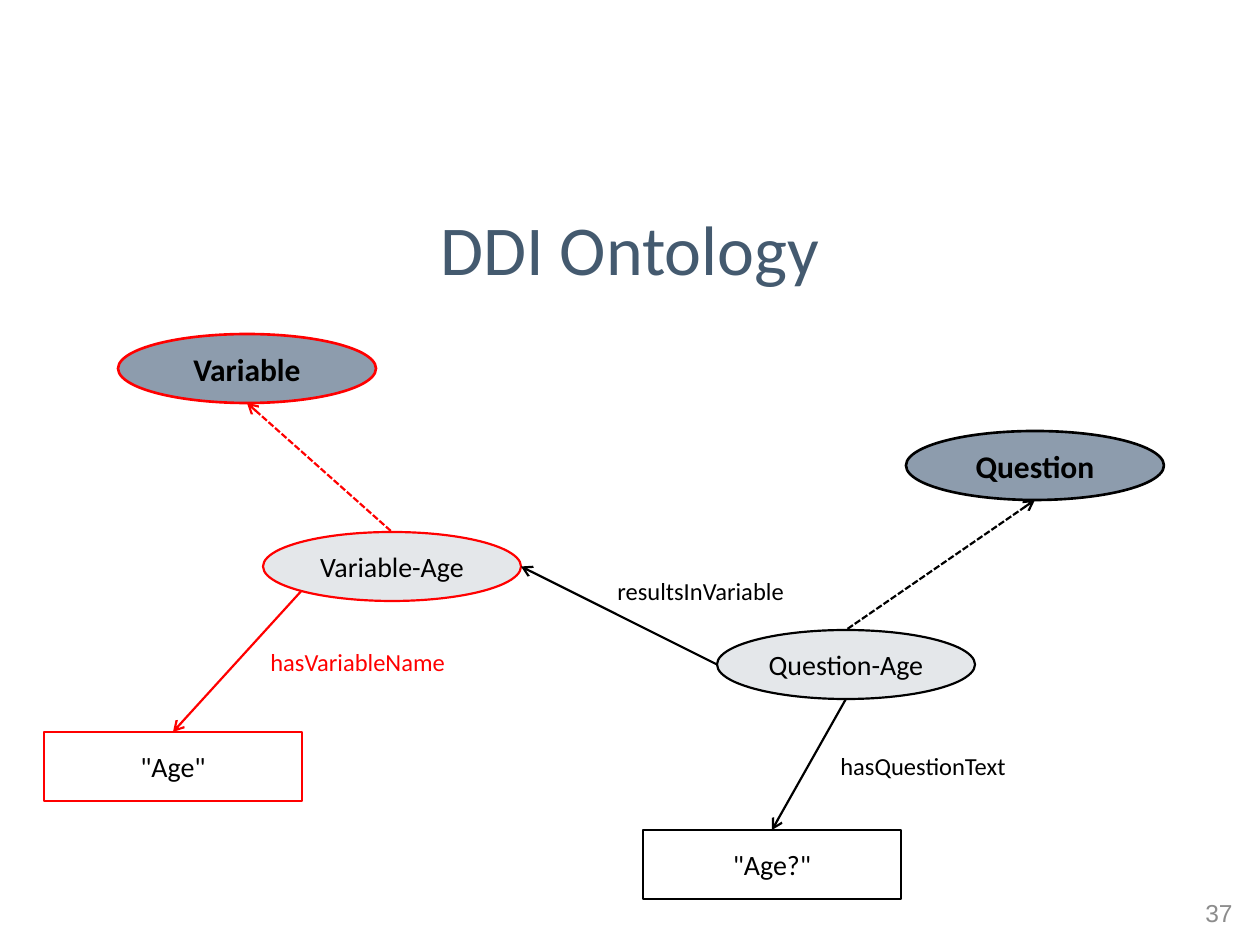
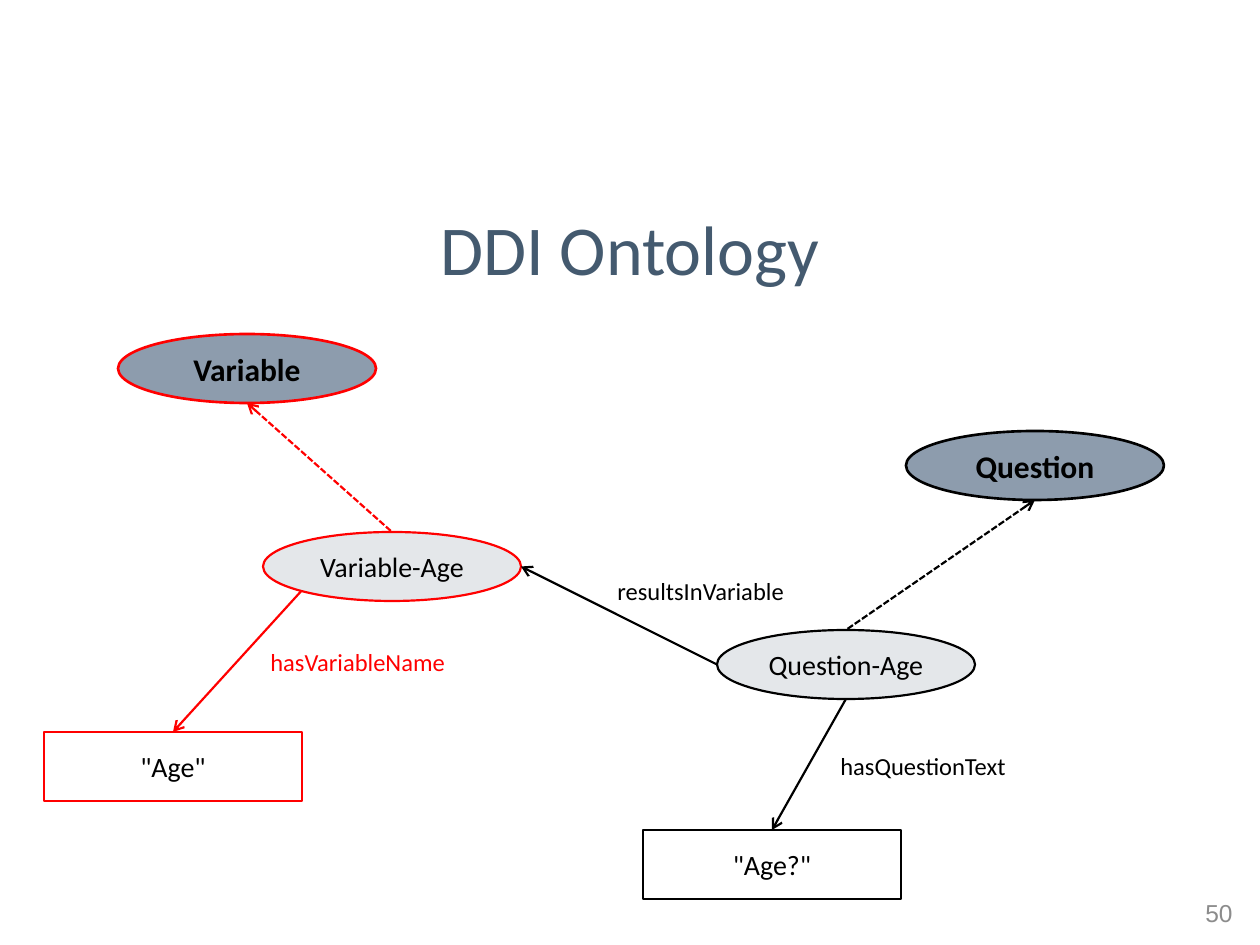
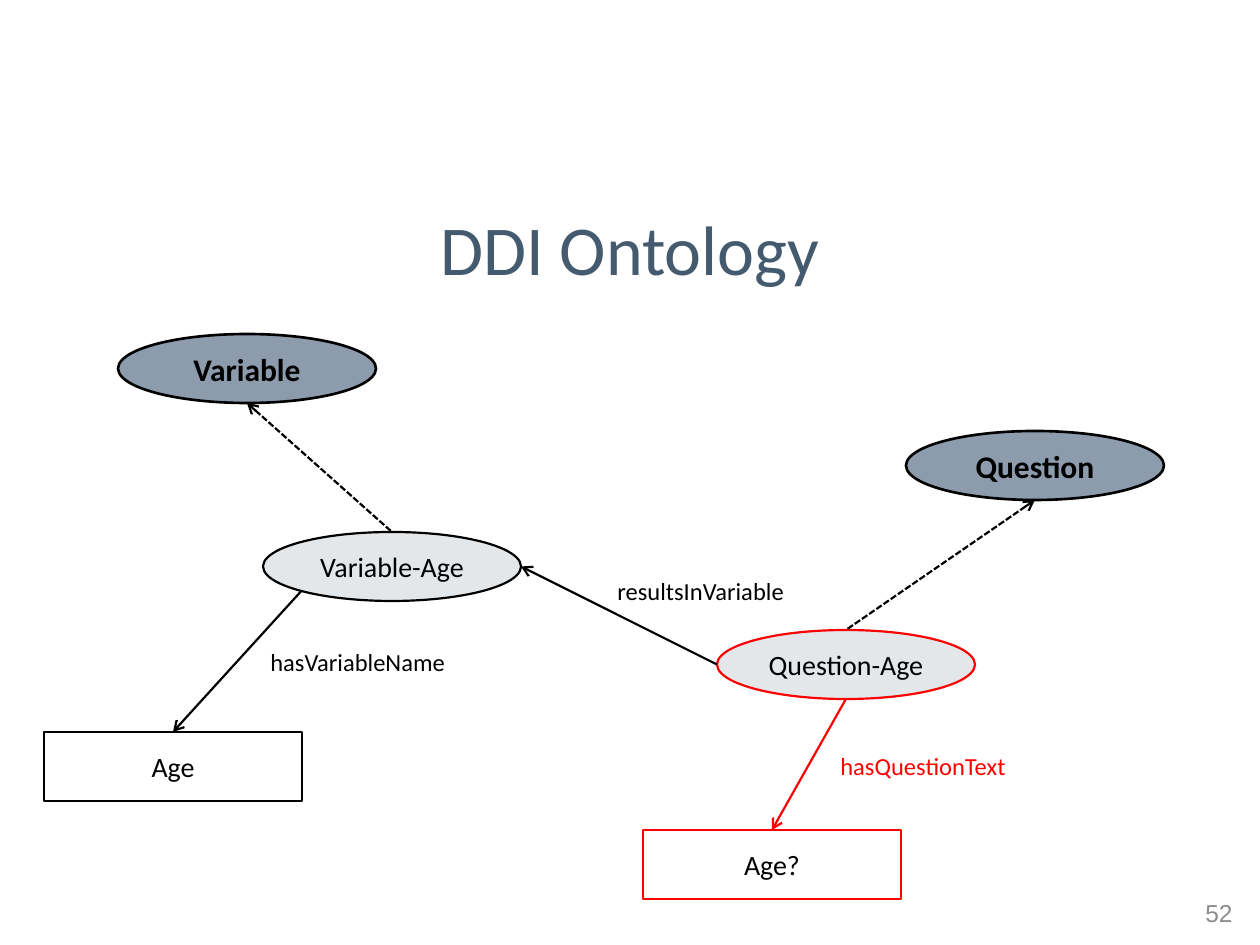
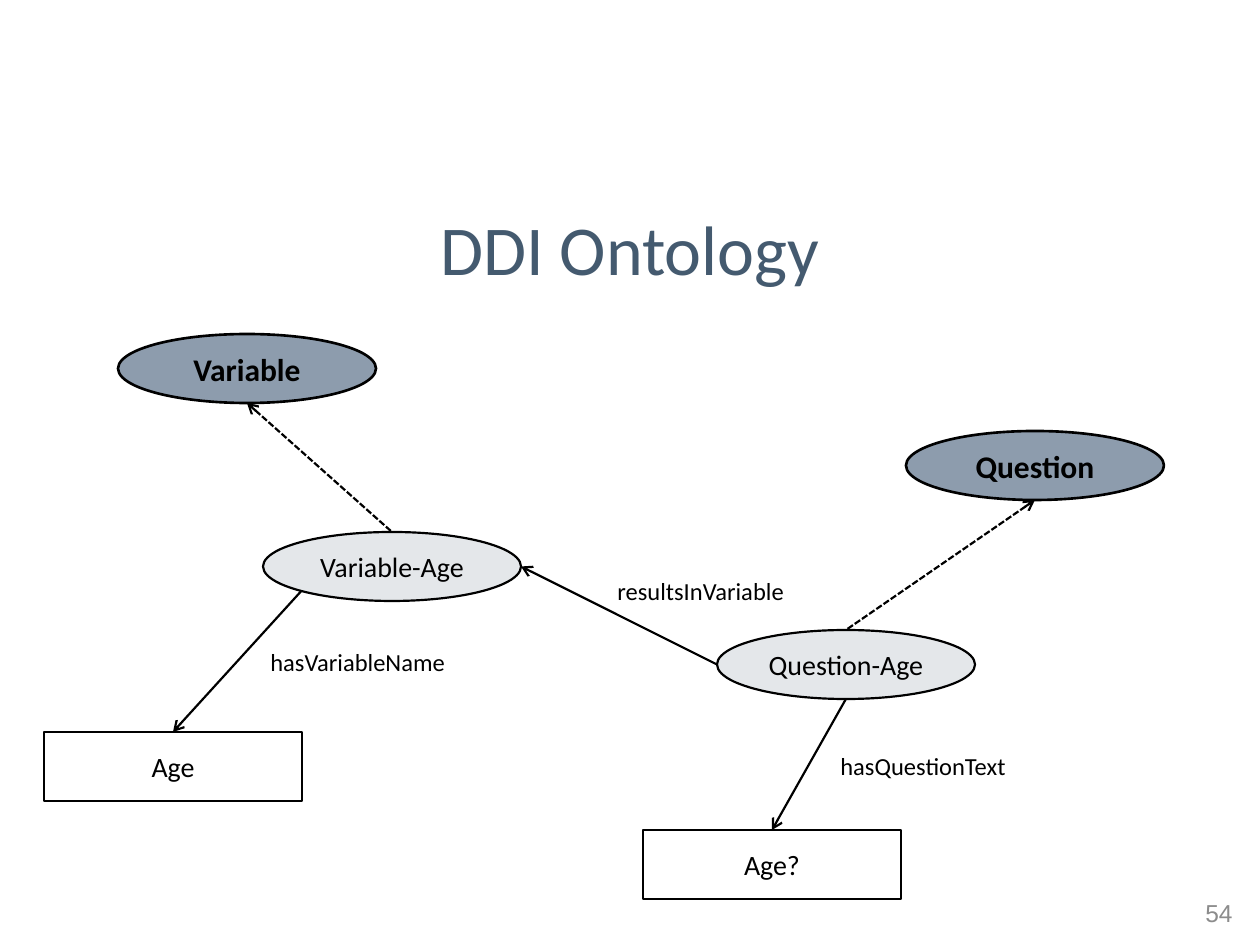
from pptx import Presentation
from pptx.dml.color import RGBColor
from pptx.enum.dml import MSO_LINE
from pptx.enum.shapes import MSO_CONNECTOR, MSO_SHAPE
from pptx.enum.text import MSO_ANCHOR, MSO_AUTO_SIZE, PP_ALIGN
from pptx.oxml.ns import qn
from pptx.util import Emu, Pt
from lxml import etree

OVAL, RECT = MSO_SHAPE.OVAL, MSO_SHAPE.RECTANGLE
STRAIGHT, DASH = MSO_CONNECTOR.STRAIGHT, MSO_LINE.SQUARE_DOT
LEFT, CENTER, RIGHT = PP_ALIGN.LEFT, PP_ALIGN.CENTER, PP_ALIGN.RIGHT
TOP, MIDDLE = MSO_ANCHOR.TOP, MSO_ANCHOR.MIDDLE
GROW = MSO_AUTO_SIZE.SHAPE_TO_FIT_TEXT
PX = 914400 // 126

COLORS = {
    "title": "445A6F", "class": "294465", "item": "445A6F",
    "ink": "000000", "mark": "FF0000", "page": "8C8C8C",
}
TITLE = "DDI Ontology"
QUOTED = {"name": '"Age"', "text": '"Age?"'}
PLAIN = {"name": "Age", "text": "Age?"}
VAR_MARKS = {"var", "var_age", "name", "is_var", "has_name"}
ASK_MARKS = {"ask_age", "text", "has_text"}
SLIDES = [
    (37, QUOTED, VAR_MARKS),
    (50, QUOTED, VAR_MARKS),
    (52, PLAIN, ASK_MARKS),
    (54, PLAIN, set()),
]

NODE_W, NODE_H = 258, 69
KINDS = {
    "class": dict(form=OVAL, alpha=53, width=1.5, size=18, bold=True),
    "item": dict(form=OVAL, alpha=14, width=1.25, size=16, bold=False),
    "value": dict(form=RECT, alpha=0, width=1.25, size=16, bold=False),
}
NODES = [
    ("var", "class", "Variable", 118, 334),
    ("ask", "class", "Question", 906, 431),
    ("var_age", "item", "Variable-Age", 263, 532),
    ("ask_age", "item", "Question-Age", 717, 630),
    ("name", "value", None, 44, 732),
    ("text", "value", None, 643, 830),
]
SPOTS = {
    "top": (0.5, 0), "left": (0, 0.5), "bottom": (0.5, 1),
    "right": (1, 0.5), "corner": (0.15, 0.85),
}
LINKS = [
    ("has_name", "name", "top", "var_age", "corner", False),
    ("results", "var_age", "right", "ask_age", "left", False),
    ("has_text", "text", "top", "ask_age", "bottom", False),
    ("is_var", "var", "bottom", "var_age", "top", True),
    ("is_ask", "ask", "bottom", "ask_age", "top", True),
]
LABELS = [
    ("has_text", "hasQuestionText", (828, 745, 193, 43)),
    ("has_name", "hasVariableName", (258, 641, 202, 43)),
    ("results", "resultsInVariable", (605, 570, 194, 43)),
]


def rgb(name):
    return RGBColor.from_string(COLORS[name])


def px(*nums):
    return [Emu(round(n * PX)) for n in nums]


def write(frame, text, size, color, align, anchor, font="Calibri", bold=False):
    frame.vertical_anchor = anchor
    para = frame.paragraphs[0]
    para.alignment = align
    run = para.add_run()
    run.text = text
    run.font.name, run.font.size, run.font.bold = font, Pt(size), bold
    run.font.color.rgb = rgb(color)


def add_text(slide, box, wrap, *style, **more):
    frame = slide.shapes.add_textbox(*px(*box)).text_frame
    frame.word_wrap = wrap
    if not wrap:
        frame.auto_size = GROW
    write(frame, *style, **more)


def add_node(slide, kind, text, x, y, color):
    look = KINDS[kind]
    node = slide.shapes.add_shape(look["form"], *px(x, y, NODE_W, NODE_H))
    node.shadow.inherit = False
    if look["alpha"]:
        node.fill.solid()
        node.fill.fore_color.rgb = rgb(kind)
        tint = node.element.spPr.find(qn("a:solidFill"))[0]
        etree.SubElement(tint, qn("a:alpha")).set("val", str(look["alpha"] * 1000))
    else:
        node.fill.background()
    node.line.color.rgb = rgb(color)
    node.line.width = Pt(look["width"])
    frame = node.text_frame
    frame.word_wrap = False
    frame.margin_left = frame.margin_right = 0
    frame.margin_top = frame.margin_bottom = 0
    write(frame, text, look["size"], "ink", CENTER, MIDDLE, bold=look["bold"])
    return node


def spot(node, side):
    across, down = SPOTS[side]
    return [Emu(round(node.left + across * node.width)),
            Emu(round(node.top + down * node.height))]


def add_link(slide, head, head_side, tail, tail_side, dashed, color):
    link = slide.shapes.add_connector(
        STRAIGHT, *spot(head, head_side), *spot(tail, tail_side))
    if head_side == "top":
        link.begin_connect(head, 0)
    if tail_side == "top":
        link.end_connect(tail, 0)
    link.line.color.rgb = rgb(color)
    link.line.width = Pt(1.25)
    if dashed:
        link.line.dash_style = DASH
    props = link.element.spPr
    etree.SubElement(props.find(qn("a:ln")), qn("a:headEnd")).set("type", "arrow")
    etree.SubElement(props, qn("a:effectLst"))


def add_slide(deck, page, values, marks):
    def tone(key):
        return "mark" if key in marks else "ink"

    slide = deck.slides.add_slide(deck.slide_layouts[6])
    add_text(slide, (951, 888, 294, 50), True,
             str(page), 14, "page", RIGHT, MIDDLE, font="Arial")
    add_text(slide, (63, 168, 1134, 158), True, TITLE, 40, "title", CENTER, MIDDLE)
    nodes = {key: add_node(slide, kind, text or values[key], x, y, tone(key))
             for key, kind, text, x, y in NODES}
    for key, head, head_side, tail, tail_side, dashed in LINKS:
        add_link(slide, nodes[head], head_side, nodes[tail], tail_side,
                 dashed, tone(key))
    for key, text, box in LABELS:
        add_text(slide, box, False, text, 14, tone(key), LEFT, TOP)


def main():
    deck = Presentation()
    deck.slide_width, deck.slide_height = px(1260, 945)
    for page, values, marks in SLIDES:
        add_slide(deck, page, values, marks)
    deck.save("out.pptx")


if __name__ == "__main__":
    main()
